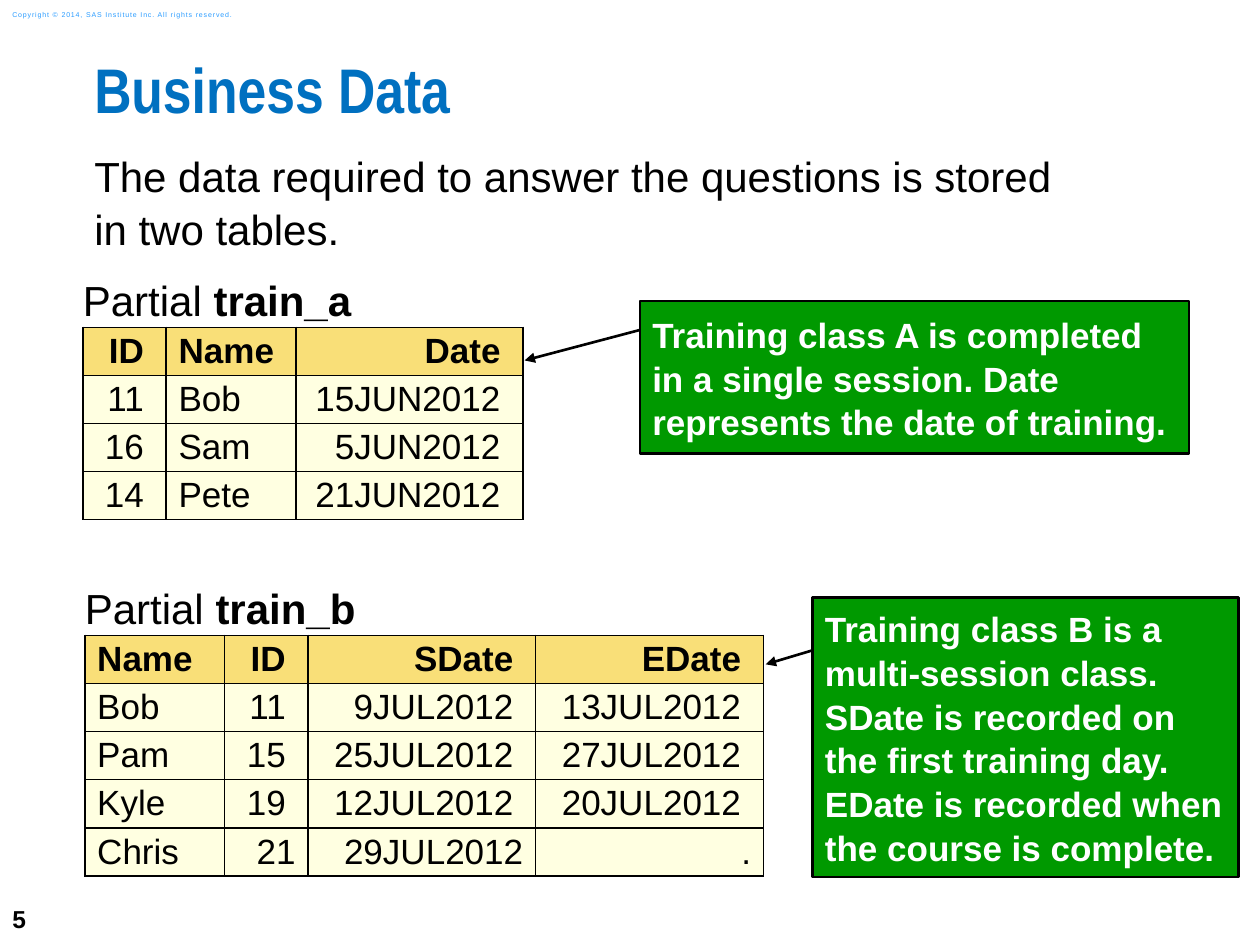
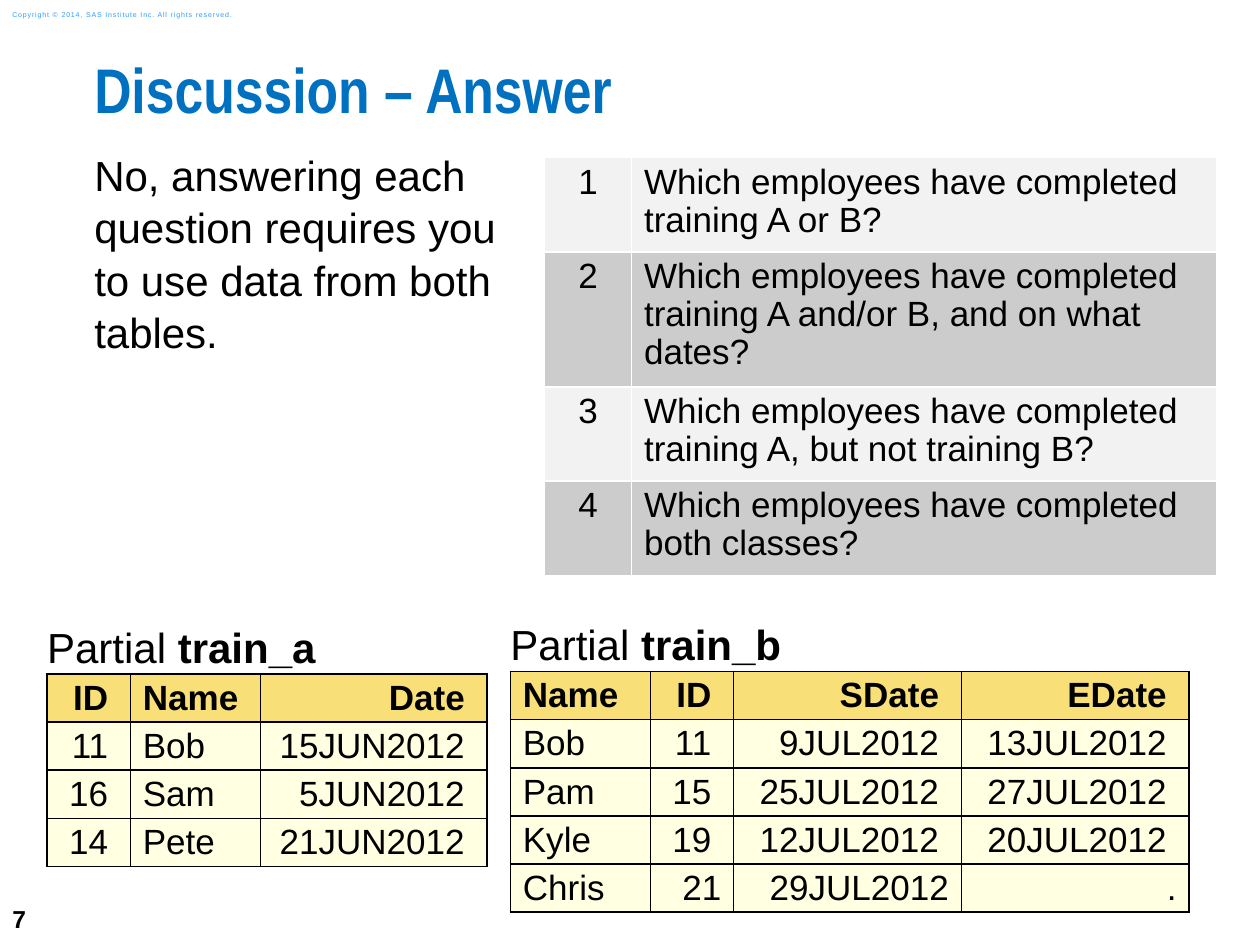
from dataclasses import dataclass

from lxml.etree import SubElement
from pptx import Presentation
from pptx.dml.color import RGBColor
from pptx.enum.shapes import MSO_SHAPE as Preset
from pptx.enum.text import MSO_ANCHOR as Anchor, MSO_AUTO_SIZE as AutoSize, PP_ALIGN as Align
from pptx.oxml.ns import qn
from pptx.util import Cm, Pt

BLACK = RGBColor(0x00, 0x00, 0x00)
WHITE = RGBColor(0xFF, 0xFF, 0xFF)
TITLE_BLUE = RGBColor(0x00, 0x70, 0xC0)
COPYRIGHT_BLUE = RGBColor(0x2A, 0x9C, 0xFF)
CALLOUT_GREEN = RGBColor(0x00, 0x99, 0x00)
HEADER_GOLD = RGBColor(0xF9, 0xDF, 0x78)
DATA_CREAM = RGBColor(0xFF, 0xFF, 0xE1)
LIGHT_GREY = RGBColor(0xF2, 0xF2, 0xF2)
MID_GREY = RGBColor(0xCC, 0xCC, 0xCC)

TEXT_FONT = "Arial"
TITLE_FONT = "Arial Narrow"
COPYRIGHT = "Copyright © 2014, SAS Institute Inc. All rights reserved."
TEXT_SPACING = 1.04
ROW_HEIGHT = 0.97
CELL_MARGIN = 0.25
PADDED_MARGIN = 0.45


@dataclass(frozen=True)
class Box:
    left: float
    top: float
    width: float
    height: float

    def lengths(self) -> tuple:
        return Cm(self.left), Cm(self.top), Cm(self.width), Cm(self.height)


@dataclass(frozen=True)
class TextStyle:
    size: float
    color: RGBColor = BLACK
    bold: bool = False
    font: str = TEXT_FONT


@dataclass(frozen=True)
class DataTable:
    name: str
    widths: tuple
    rows: tuple
    flush_rows: int = 0


@dataclass(frozen=True)
class Callout:
    box: Box
    text: str
    tip_y: float
    tip_x: float


TITLE_STYLE = TextStyle(36, TITLE_BLUE, True, TITLE_FONT)
BODY_STYLE = TextStyle(24)
CAPTION_STYLE = TextStyle(24, bold=True)
CELL_STYLE = TextStyle(20)
HEADER_STYLE = TextStyle(20, bold=True)
CALLOUT_STYLE = TextStyle(20, WHITE, True)
NUMBER_STYLE = TextStyle(14, bold=True)
COPYRIGHT_STYLE = TextStyle(4, COPYRIGHT_BLUE)

TITLE_BOX = Box(1.9, 1.27, 23.5, 1.9)
NUMBER_BOX = Box(0, 17.98, 1.47, 1.07)
COPYRIGHT_BOX = Box(0, 0.08, 5.36, 0.43)

TRAIN_A = DataTable(
    "train_a",
    (1.68, 2.62, 4.57),
    (
        ("ID", "Name", "Date"),
        ("11", "Bob", "15JUN2012"),
        ("16", "Sam", "5JUN2012"),
        ("14", "Pete", "21JUN2012"),
    ),
)
TRAIN_B = DataTable(
    "train_b",
    (2.82, 1.68, 4.59, 4.59),
    (
        ("Name", "ID", "SDate", "EDate"),
        ("Bob", "11", "9JUL2012", "13JUL2012"),
        ("Pam", "15", "25JUL2012", "27JUL2012"),
        ("Kyle", "19", "12JUL2012", "20JUL2012"),
        ("Chris", "21", "29JUL2012", "."),
    ),
    flush_rows=1,
)
QUESTIONS = (
    "Which employees have completed training A or B?",
    "Which employees have completed training A and/or B, and on what dates?",
    "Which employees have completed training A, but not training B?",
    "Which employees have completed both classes?",
)
CALLOUTS = (
    Callout(
        Box(12.9, 6.07, 11.07, 3.07),
        "Training class A is completed in a single session. "
        "Date represents the date of training.",
        0.39,
        -0.21,
    ),
    Callout(
        Box(16.38, 12.04, 8.59, 5.64),
        "Training class B is a multi-session class. SDate is recorded on "
        "the first training day. EDate is recorded when the course is complete.",
        0.24,
        -0.11,
    ),
)


def add_text(paragraph, text: str, style: TextStyle):
    run = paragraph.add_run()
    run.text = text
    run.font.name = style.font
    run.font.size = Pt(style.size)
    run.font.bold = style.bold
    run.font.color.rgb = style.color
    return run


def set_margins(target, horizontal: float, vertical: float) -> None:
    target.margin_left = target.margin_right = Cm(horizontal)
    target.margin_top = target.margin_bottom = Cm(vertical)


def place(shape, box: Box) -> None:
    shape.left, shape.top, shape.width, shape.height = box.lengths()


def prepare_placeholder(shape, box: Box, line_spacing: float):
    place(shape, box)
    frame = shape.text_frame
    frame.word_wrap = True
    frame.auto_size = AutoSize.NONE
    frame.vertical_anchor = Anchor.TOP
    set_margins(frame, 0, 0)
    paragraph = frame.paragraphs[0]
    paragraph.alignment = Align.LEFT
    paragraph.line_spacing = line_spacing
    paragraph.space_before = Pt(0)
    return paragraph


def add_corner_text(slide, box: Box, text: str, style: TextStyle, wrap: bool):
    frame = slide.shapes.add_textbox(*box.lengths()).text_frame
    frame.word_wrap = wrap
    frame.vertical_anchor = Anchor.MIDDLE
    return add_text(frame.paragraphs[0], text, style)


def start_slide(presentation, number: int, title: str, body_box: Box, lines: tuple):
    slide = presentation.slides.add_slide(presentation.slide_layouts[1])
    add_corner_text(slide, NUMBER_BOX, str(number), NUMBER_STYLE, False)
    copyright_run = add_corner_text(slide, COPYRIGHT_BOX, COPYRIGHT, COPYRIGHT_STYLE, True)
    copyright_run.font._element.set("spc", "50")

    add_text(prepare_placeholder(slide.shapes.title, TITLE_BOX, 0.83), title, TITLE_STYLE)

    paragraph = prepare_placeholder(slide.placeholders[1], body_box, TEXT_SPACING)
    properties = paragraph._p.get_or_add_pPr()
    properties.set("marL", "0")
    properties.set("indent", "0")
    SubElement(properties, qn("a:buNone"))
    for index, line in enumerate(lines):
        if index:
            paragraph.add_line_break()
        add_text(paragraph, line, BODY_STYLE)
    return slide


def set_borders(cell, left: RGBColor, right: RGBColor, top: RGBColor, bottom: RGBColor) -> None:
    properties = cell._tc.get_or_add_tcPr()
    sides = {"a:lnL": left, "a:lnR": right, "a:lnT": top, "a:lnB": bottom}
    for tag, color in sides.items():
        line = SubElement(properties, qn(tag), w=str(Pt(1)))
        SubElement(SubElement(line, qn("a:solidFill")), qn("a:srgbClr"), val=str(color))


def paint(cell, color: RGBColor) -> None:
    cell.fill.solid()
    cell.fill.fore_color.rgb = color


def add_plain_table(slide, left: float, top: float, widths: tuple, row_count: int, row_height: float):
    box = Box(left, top, sum(widths), row_count * row_height)
    table = slide.shapes.add_table(row_count, len(widths), *box.lengths()).table
    table.first_row = False
    table.horz_banding = False
    for column, width in zip(table.columns, widths):
        column.width = Cm(width)
    for row in table.rows:
        row.height = Cm(row_height)
    return table


def add_data_table(slide, data: DataTable, left: float, top: float) -> None:
    row_count = len(data.rows) + 1
    table = add_plain_table(slide, left, top, data.widths, row_count, ROW_HEIGHT)

    caption = table.cell(0, 0)
    caption.merge(table.cell(0, len(data.widths) - 1))
    for column in range(len(data.widths)):
        cell = table.cell(0, column)
        set_borders(cell, WHITE, WHITE, WHITE, BLACK)
        paint(cell, WHITE)
    set_margins(caption, 0, 0)
    caption.vertical_anchor = Anchor.MIDDLE
    paragraph = caption.text_frame.paragraphs[0]
    add_text(paragraph, "Partial ", BODY_STYLE)
    add_text(paragraph, data.name, CAPTION_STYLE)

    for row_index, values in enumerate(data.rows, start=1):
        is_header = row_index == 1
        is_flush = row_index >= row_count - data.flush_rows
        for column, value in enumerate(values):
            cell = table.cell(row_index, column)
            set_borders(cell, BLACK, BLACK, BLACK, BLACK)
            paint(cell, HEADER_GOLD if is_header else DATA_CREAM)
            set_margins(cell, CELL_MARGIN, 0)
            cell.vertical_anchor = Anchor.MIDDLE
            paragraph = cell.text_frame.paragraphs[0]
            if data.rows[0][column] != "Name":
                paragraph.alignment = Align.RIGHT
                if not is_flush:
                    cell.margin_right = Cm(PADDED_MARGIN)
            add_text(paragraph, value, HEADER_STYLE if is_header else CELL_STYLE)


def add_question_table(slide, left: float, top: float) -> None:
    table = add_plain_table(slide, left, top, (1.75, 11.8), len(QUESTIONS), 1.65)
    for index, question in enumerate(QUESTIONS):
        entries = ((str(index + 1), Align.CENTER), (question, Align.LEFT))
        for column, (text, alignment) in enumerate(entries):
            cell = table.cell(index, column)
            set_borders(cell, WHITE, WHITE, WHITE, WHITE)
            paint(cell, MID_GREY if index % 2 else LIGHT_GREY)
            paragraph = cell.text_frame.paragraphs[0]
            paragraph.alignment = alignment
            paragraph.line_spacing = 0.97
            add_text(paragraph, text, CELL_STYLE)


def add_callout(slide, callout: Callout) -> None:
    shape = slide.shapes.add_shape(Preset.LINE_CALLOUT_1, *callout.box.lengths())
    for index, value in enumerate((0.19, 0, callout.tip_y, callout.tip_x)):
        shape.adjustments[index] = value
    shape.shadow.inherit = False
    shape.fill.solid()
    shape.fill.fore_color.rgb = CALLOUT_GREEN
    shape.line.color.rgb = BLACK
    shape.line.width = Pt(1.5)
    SubElement(shape.element.spPr.find(qn("a:ln")), qn("a:tailEnd"), type="triangle")
    frame = shape.text_frame
    frame.word_wrap = True
    frame.vertical_anchor = Anchor.MIDDLE
    set_margins(frame, CELL_MARGIN, CELL_MARGIN)
    paragraph = frame.paragraphs[0]
    paragraph.alignment = Align.LEFT
    paragraph.line_spacing = TEXT_SPACING
    add_text(paragraph, callout.text, CALLOUT_STYLE)


def main() -> None:
    presentation = Presentation()
    presentation.slide_width = Cm(25.4)
    presentation.slide_height = Cm(19.05)

    lines = ("The data required to answer the questions is stored", "in two tables.")
    slide = start_slide(presentation, 5, "Business Data", Box(1.9, 3, 21.8, 11.86), lines)
    add_data_table(slide, TRAIN_A, 1.67, 5.58)
    add_data_table(slide, TRAIN_B, 1.71, 11.79)
    for callout in CALLOUTS:
        add_callout(slide, callout)

    lines = ("No, answering each question requires you to use data from both tables.",)
    slide = start_slide(presentation, 7, "Discussion – Answer", Box(1.9, 2.97, 8.66, 11.86), lines)
    add_data_table(slide, TRAIN_A, 0.95, 12.57)
    add_data_table(slide, TRAIN_B, 10.29, 12.52)
    add_question_table(slide, 10.98, 3.18)

    presentation.save("out.pptx")


if __name__ == "__main__":
    main()
